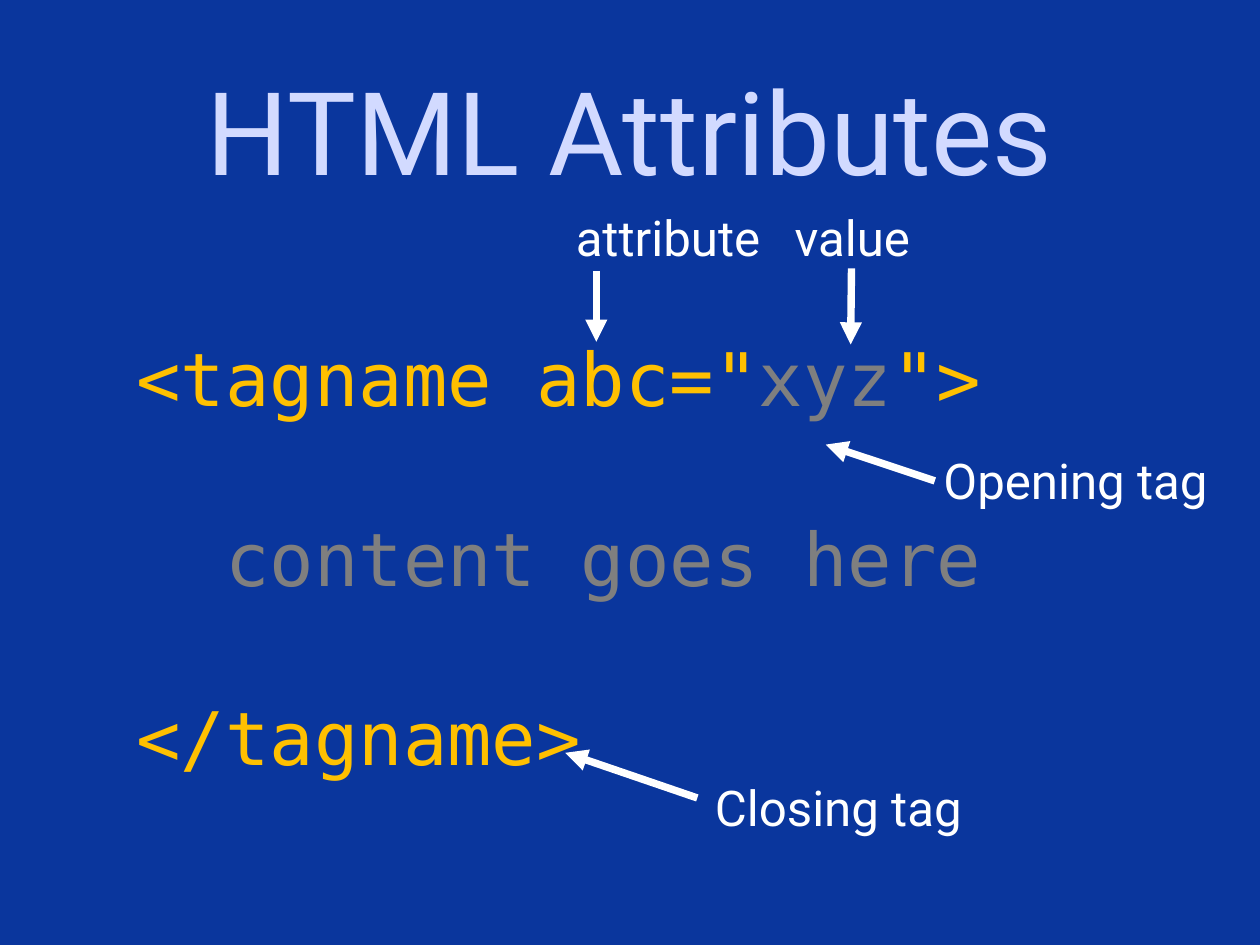
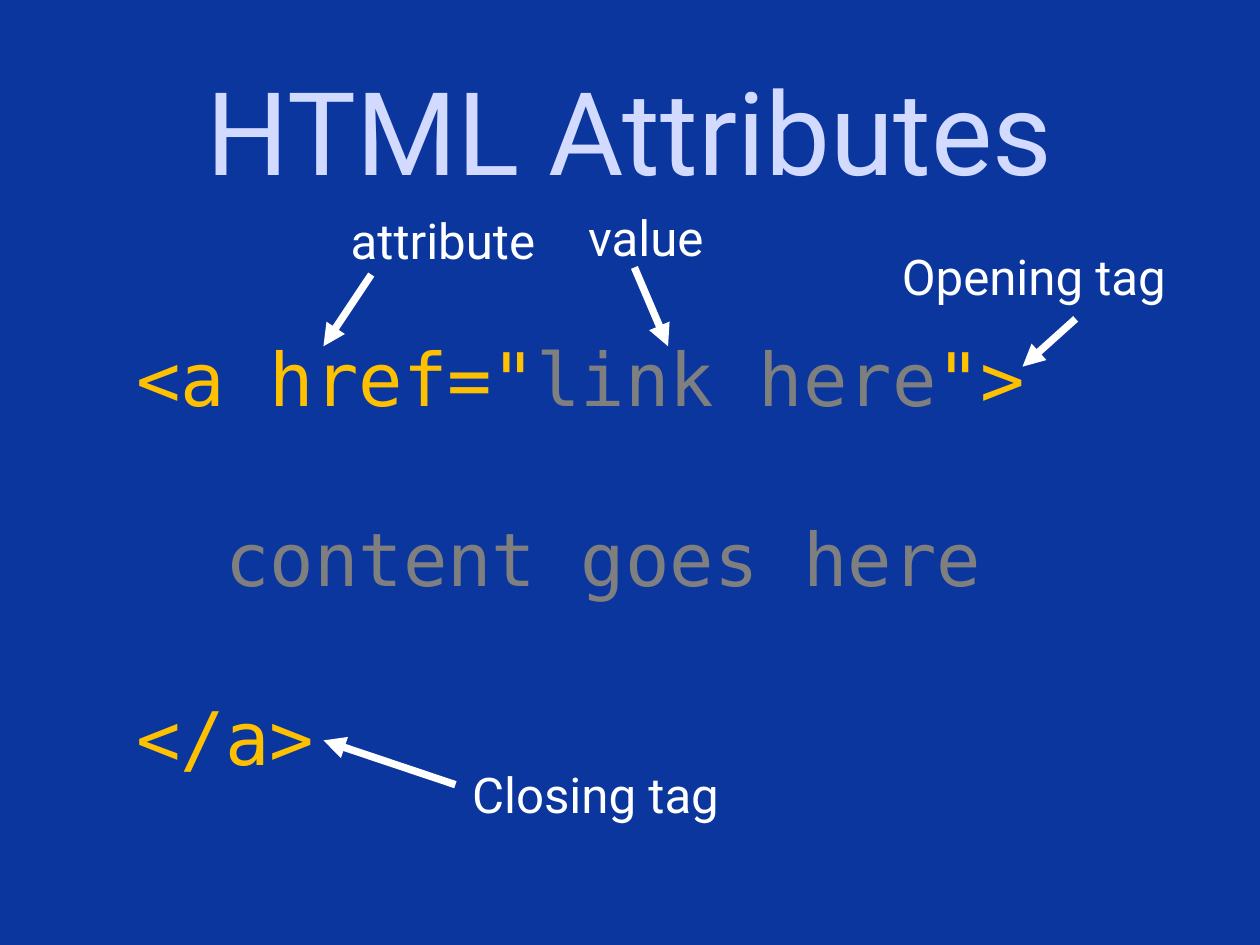
from lxml import etree
from pptx import Presentation
from pptx.dml.color import RGBColor
from pptx.enum.shapes import MSO_CONNECTOR as Connector
from pptx.enum.text import MSO_ANCHOR as Anchor, PP_ALIGN as Align
from pptx.oxml.ns import qn
from pptx.util import Inches, Pt

COLORS = {
    "background": "0A369D",
    "title": "D2DAFF",
    "code": "FFC000",
    "muted": "7F7F7F",
    "label": "FFFFFF",
}
TEXT_FONT, CODE_FONT = "Roboto", "DejaVu Sans Mono"


def add_text(slide, box, lines, font=TEXT_FONT, size=40, align=Align.LEFT,
             anchor=Anchor.TOP, inset=0.05, gap=0):
    """Add a text box; each line is a list of (text, colour name) runs."""
    frame = slide.shapes.add_textbox(*map(Inches, box)).text_frame
    frame.word_wrap = True
    frame.vertical_anchor = anchor
    frame.margin_left = frame.margin_right = Inches(0.1)
    frame.margin_top = frame.margin_bottom = Inches(inset)
    for index, runs in enumerate(lines):
        paragraph = frame.add_paragraph() if index else frame.paragraphs[0]
        paragraph.alignment = align
        if index:
            paragraph.space_before = Pt(gap)
        for text, color in runs:
            run = paragraph.add_run()
            run.text = text
            run.font.name = font
            run.font.size = Pt(size)
            run.font.color.rgb = RGBColor.from_string(COLORS[color])


def add_arrow(slide, start, end):
    """Add a thick arrow that points at end."""
    arrow = slide.shapes.add_connector(
        Connector.STRAIGHT, *map(Inches, (*start, *end)))
    arrow.line.width = Pt(6)
    arrow.line.color.rgb = RGBColor.from_string(COLORS["label"])
    etree.SubElement(arrow.line._get_or_add_ln(), qn("a:tailEnd"), type="triangle")
    etree.SubElement(arrow._element.spPr, qn("a:effectLst"))


# Code parts, then callouts: label, label position, arrow start, arrow end
SLIDES = [
    ("<tagname abc=\"", "xyz", "</tagname>", [
        ("Opening tag", (10.55, 5.04), (10.55, 5.43), (9.32, 5.02)),
        ("Closing tag", (7.97, 8.73), (7.87, 9.01), (6.38, 8.5)),
        ("attribute", (6.4, 2.29), (6.73, 3.06), (6.73, 3.86)),
        ("value", (8.87, 2.29), (9.61, 3.03), (9.6, 3.89)),
    ]),
    ("<a href=\"", "link here", "</a>", [
        ("Opening tag", (10.08, 2.73), (12.14, 3.6), (11.54, 4.14)),
        ("Closing tag", (5.23, 8.58), (5.14, 8.86), (3.65, 8.36)),
        ("attribute", (3.86, 2.33), (4.19, 3.1), (3.65, 3.91)),
        ("value", (6.54, 2.29), (7.16, 3.02), (7.54, 3.91)),
    ]),
]

presentation = Presentation()
presentation.slide_width = Inches(14.22)
presentation.slide_height = Inches(10.67)

# Shared background
fill = presentation.slide_master.background.fill
fill.solid()
fill.fore_color.rgb = RGBColor.from_string(COLORS["background"])

for opening, value, closing, callouts in SLIDES:
    slide = presentation.slides.add_slide(presentation.slide_layouts[6])

    # Title
    add_text(slide, (1.04, 0.28, 12.14, 2.36), [[("HTML Attributes", "title")]],
             size=93.9, align=Align.CENTER, anchor=Anchor.MIDDLE, inset=0.1)

    # Code sample
    code = [
        [(opening, "code"), (value, "muted"), ("\">", "code")],
        [("  content goes here", "muted")],
        [(closing, "code")],
    ]
    add_text(slide, (1.44, 3.71, 11.34, 5.15), code,
             font=CODE_FONT, size=60, gap=74)

    # Callouts
    for label, position, start, end in callouts:
        add_arrow(slide, start, end)
        add_text(slide, (*position, 3.47, 0.77), [[(label, "label")]])

presentation.save("out.pptx")
